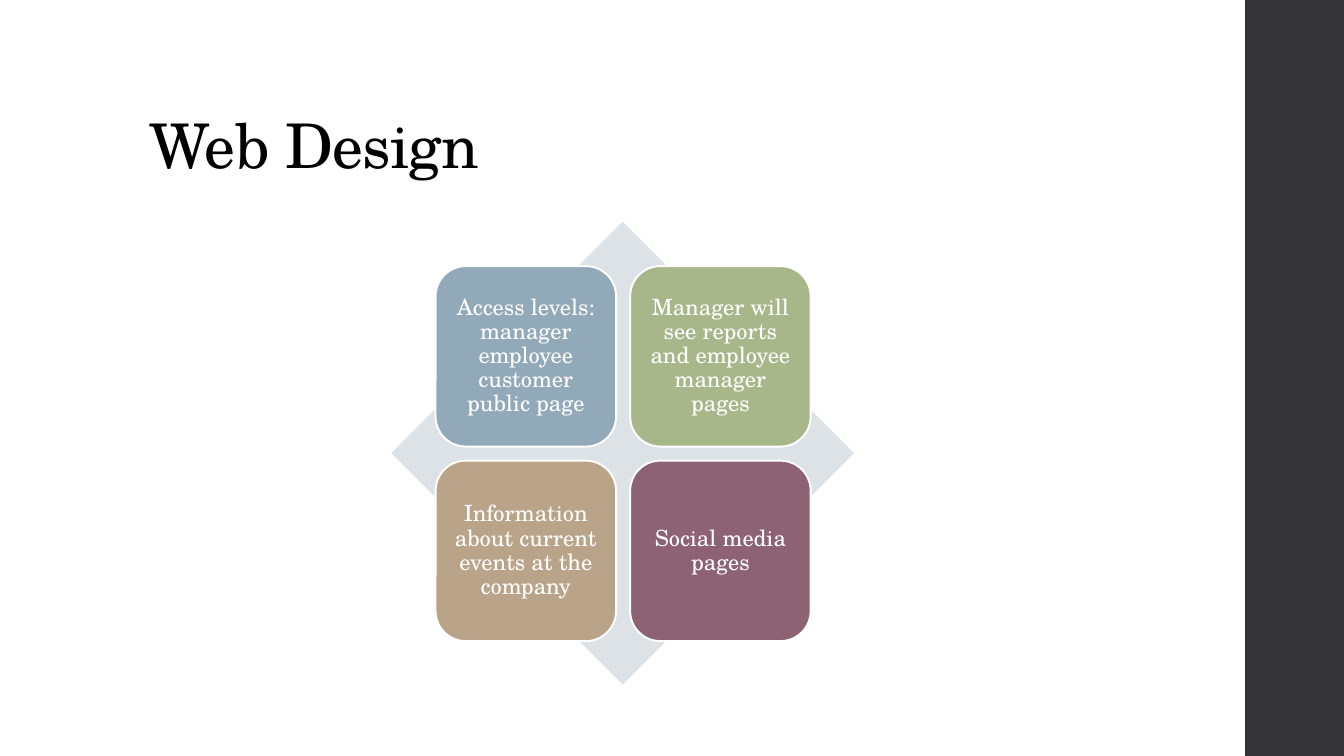
"""Build the Web Design slide: a title and four cards over a diamond."""
from pptx import Presentation
from pptx.dml.color import RGBColor
from pptx.enum.shapes import MSO_SHAPE
from pptx.enum.text import MSO_ANCHOR, MSO_AUTO_SIZE, PP_ALIGN
from pptx.util import Inches, Pt

COLORS = {
    "sidebar": "353537",
    "diamond": "DCE2E6",
    "blue": "92A9B9",
    "green": "A7B789",
    "tan": "B9A489",
    "plum": "8D6374",
    "white": "FFFFFF",
    "black": "000000",
}
FONT = "TeX Gyre Schola"
CARDS = [
    ("blue", "Access levels: manager employee customer public page"),
    ("green", "Manager will see reports and employee manager pages"),
    ("tan", "Information about current events at the company"),
    ("plum", "Social media pages"),
]
CARD_LEFT, CARD_TOP, CARD_SIZE, CARD_STEP = 4.32, 2.64, 1.79, 1.93


def add_filled_shape(slide, kind, left, top, width, height, color):
    shape = slide.shapes.add_shape(
        kind, Inches(left), Inches(top), Inches(width), Inches(height)
    )
    shape.shadow.inherit = False
    shape.fill.solid()
    shape.fill.fore_color.rgb = RGBColor.from_string(COLORS[color])
    shape.line.fill.background()
    return shape


def write_text(shape, text, size, color, frame_format, paragraph_format):
    frame = shape.text_frame
    frame.text = text
    paragraph = frame.paragraphs[0]
    font = paragraph.runs[0].font
    font_format = {"name": FONT, "size": Pt(size)}
    for target, values in (
        (frame, frame_format),
        (paragraph, paragraph_format),
        (font, font_format),
    ):
        for name, value in values.items():
            setattr(target, name, value)
    font.color.rgb = RGBColor.from_string(COLORS[color])
    return paragraph.runs[0]


presentation = Presentation()
presentation.slide_width = Inches(13.33)
presentation.slide_height = Inches(7.5)
slide = presentation.slides.add_slide(presentation.slide_layouts[5])

add_filled_shape(slide, MSO_SHAPE.RECTANGLE, 12.35, 0, 0.98, 7.5, "sidebar")

title = slide.shapes.title
title_place = {"left": 1.38, "top": 0.4, "width": 10.6, "height": 1.45}
for name, value in title_place.items():
    setattr(title, name, Inches(value))
title_frame = {
    "vertical_anchor": MSO_ANCHOR.BOTTOM,
    "word_wrap": True,
    "auto_size": MSO_AUTO_SIZE.NONE,
}
title_paragraph = {"alignment": PP_ALIGN.LEFT, "line_spacing": 0.9}
title_run = write_text(title, "Web Design", 44, "black", title_frame, title_paragraph)
title_run.font._element.set("spc", "-50")

add_filled_shape(slide, MSO_SHAPE.DIAMOND, 3.88, 2.2, 4.59, 4.59, "diamond")

card_frame = {
    "vertical_anchor": MSO_ANCHOR.MIDDLE,
    "word_wrap": True,
    "margin_left": Inches(0.07),
    "margin_right": Inches(0.07),
    "margin_top": Inches(0.07),
    "margin_bottom": Inches(0.07),
}
card_paragraph = {"alignment": PP_ALIGN.CENTER, "line_spacing": 0.9}
for index, (color, text) in enumerate(CARDS):
    row, column = divmod(index, 2)
    card = add_filled_shape(
        slide,
        MSO_SHAPE.ROUNDED_RECTANGLE,
        CARD_LEFT + column * CARD_STEP,
        CARD_TOP + row * CARD_STEP,
        CARD_SIZE,
        CARD_SIZE,
        color,
    )
    card.line.color.rgb = RGBColor.from_string(COLORS["white"])
    card.line.width = Pt(1.35)
    write_text(card, text, 16, "white", card_frame, card_paragraph)

presentation.save("out.pptx")
